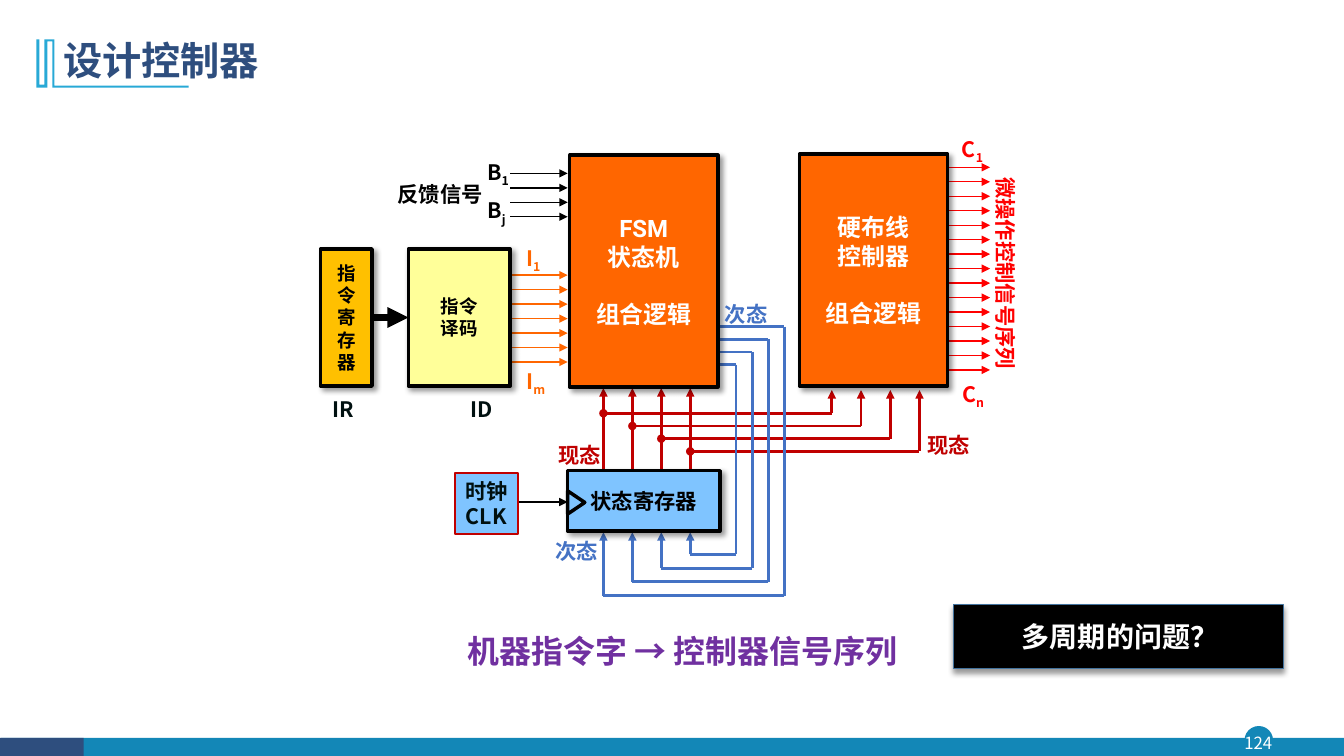
from dataclasses import dataclass

import pptx
import pptx.dml.color
import pptx.enum.shapes
import pptx.enum.text
import pptx.oxml
import pptx.oxml.ns
import pptx.util

SLIDE_WIDTH = pptx.util.Inches(13.33)
SLIDE_HEIGHT = pptx.util.Inches(7.5)
COLUMNS, ROWS = 133.3, 75
SANS, ROBOTO = "Noto Sans CJK SC", "Roboto"
SHAPES = pptx.enum.shapes.MSO_SHAPE
ALIGN = pptx.enum.text.PP_ALIGN
ANCHOR = pptx.enum.text.MSO_ANCHOR
COLORS = {
    "black": "000000", "ink": "001010", "white": "FFFFFF", "red": "FF0000",
    "present": "C00000", "next": "4472C4", "orange": "FF6600", "gold": "FFC000",
    "yellow": "FFFF99", "sky": "7FC4FF", "purple": "7030A0", "navy": "2E4E7E",
    "teal": "1387B7", "cyan": "28A9D6", "steel": "43739E",
}


@dataclass
class Block:
    left: float
    top: float
    width: float
    height: float
    fill: str
    text: str = ""
    size: float = 15.2
    color: str = "black"
    font: str = ROBOTO
    border: str | None = "black"
    weight: float = 2.5
    shadow_angle: int | None = 45
    gap: float = 0
    wrap: bool = True
    kind: SHAPES = SHAPES.RECTANGLE
    rotation: float = 0


@dataclass
class Label:
    left: float
    top: float
    width: float
    text: str
    color: str
    height: float = 3.6
    rotation: float = 0


@dataclass
class ArrowRow:
    left: float
    right: float
    top: float
    count: int
    color: str


FOOTER = [
    Block(123.5, 72.1, 2.7, 2.7, "teal", border="teal", weight=1, shadow_angle=None, kind=SHAPES.OVAL),
    Block(0.1, 73.2, 133.2, 1.9, "teal", border=None, shadow_angle=None),
    Block(0, 73.2, 8.3, 1.9, "navy", border=None, shadow_angle=None),
]
BLOCKS = [
    Block(31.8, 24.7, 5.1, 13.6, "gold", "指令寄存器", 13.2),
    Block(40.5, 24.7, 10.1, 13.6, "yellow", "指令\n译码", 13.2),
    Block(56.5, 15.4, 14.7, 23, "orange", "FSM\n状态机\n组合逻辑", 17.1, "white", gap=20),
    Block(79.3, 15.3, 14.7, 23, "orange", "硬布线\n控制器\n组合逻辑", 17.1, "white", gap=20),
    Block(56.3, 46.7, 15.1, 6, "sky", "状态寄存器"),
    Block(45.1, 46.9, 6.3, 6.1, "sky", "时钟\nCLK", color="ink", font=SANS,
          border="present", weight=1.5, shadow_angle=None, wrap=False),
    Block(56, 49, 2.3, 1.7, "sky", shadow_angle=None,
          kind=SHAPES.ISOSCELES_TRIANGLE, rotation=90),
    Block(94.6, 60, 32.7, 6.3, "black", border="steel", weight=1, shadow_angle=90),
]
LABELS = [
    Label(31.7, 38.8, 4.7, "IR", "ink"),
    Label(45.4, 38.8, 4.7, "ID", "ink"),
    Label(38.4, 17.5, 10.5, "反馈信号", "black"),
    Label(47.2, 15.3, 4.4, "B_1", "black"),
    Label(47.3, 19.1, 3.9, "B_j", "black"),
    Label(51.1, 23.8, 3.6, "I_1", "orange"),
    Label(51.1, 36, 4.1, "I_m", "orange"),
    Label(94.3, 13, 4.3, "C_1", "red"),
    Label(94.3, 37.3, 4.4, "C_n", "red"),
    Label(89.2, 25.3, 21.1, "微操作控制信号序列", "red", rotation=90),
    Label(90.6, 42.4, 7, "现态", "present"),
    Label(54, 43.4, 7, "现态", "present"),
    Label(70.5, 29.4, 7, "次态", "next"),
    Label(53.7, 52.9, 7, "次态", "next"),
]
ARROW_ROWS = [
    ArrowRow(50.5, 56.3, 27.3, 7, "orange"),
    ArrowRow(93.9, 98.2, 16.6, 15, "red"),
    ArrowRow(50.6, 56.3, 17.2, 4, "black"),
]
ARROW_PITCH = 1.436
STATE_BITS = 4
TITLE_MARK = [
    (5.4, 3.9), (5.4, 8.5), (18.7, 8.5), (18.7, 8.7), (5.2, 8.7), (5.2, 4.1), (4.7, 4.1),
    (4.7, 8.7), (3.6, 8.7), (3.6, 3.9), (3.9, 3.9), (3.9, 8.4), (4.4, 8.4), (4.4, 3.9),
]


def across(columns: float) -> int:
    return round(SLIDE_WIDTH * columns / COLUMNS)


def down(rows: float) -> int:
    return round(SLIDE_HEIGHT * rows / ROWS)


def rgb(name: str) -> pptx.dml.color.RGBColor:
    return pptx.dml.color.RGBColor.from_string(COLORS[name])


def write(frame, text: str, *, size: float, color: str, font: str = SANS, bold: bool = True,
          align=ALIGN.CENTER, anchor=ANCHOR.TOP, wrap: bool = True, spacing: float | None = None,
          gap: float = 0, after: float = 0, margin: float | None = None) -> None:
    """Fill a frame; an underscore starts a subscript, gap precedes the last of several lines."""
    frame.word_wrap = wrap
    frame.vertical_anchor = anchor
    if margin is not None:
        frame.margin_left = frame.margin_right = frame.margin_top = frame.margin_bottom = margin
    lines = text.split("\n")
    for number, line in enumerate(lines):
        para = frame.add_paragraph() if number else frame.paragraphs[0]
        para.alignment = align
        if spacing:
            para.line_spacing = spacing
        if after:
            para.space_after = pptx.util.Pt(after)
        if gap and number == len(lines) - 1:
            para.space_before = pptx.util.Pt(gap)
        for part, piece in enumerate(line.split("_")):
            span = para.add_run()
            span.text = piece
            span.font.size, span.font.bold, span.font.name = pptx.util.Pt(size), bold, font
            span.font.color.rgb = rgb(color)
            properties = span._r.get_or_add_rPr()
            east_asian = pptx.oxml.parse_xml(
                f'<a:ea {pptx.oxml.ns.nsdecls("a")} typeface="{font}"/>')
            properties.append(east_asian)
            if part:
                properties.set("baseline", "-25000")


def add_text(slide, left: float, top: float, width: float, height: float, text: str,
             *, rotation: float = 0, **style) -> None:
    box = slide.shapes.add_textbox(across(left), down(top), across(width), down(height))
    box.rotation = rotation
    write(box.text_frame, text, **style)


def cast_shadow(shape, angle: int) -> None:
    effects = shape._element.spPr.find(pptx.oxml.ns.qn("a:effectLst"))
    effects.append(pptx.oxml.parse_xml(
        f'<a:outerShdw {pptx.oxml.ns.nsdecls("a")} blurRad="50800" dist="38100" '
        f'dir="{angle * 60000}" algn="ctr" rotWithShape="0"><a:srgbClr val="000000">'
        '<a:alpha val="40000"/></a:srgbClr></a:outerShdw>'))


def add_block(slide, block: Block) -> None:
    shape = slide.shapes.add_shape(block.kind, across(block.left), down(block.top),
                                   across(block.width), down(block.height))
    shape.rotation = block.rotation
    shape.shadow.inherit = False
    shape.fill.solid()
    shape.fill.fore_color.rgb = rgb(block.fill)
    if block.border:
        shape.line.color.rgb = rgb(block.border)
        shape.line.width = pptx.util.Pt(block.weight)
    else:
        shape.line.fill.background()
    if block.shadow_angle is not None:
        cast_shadow(shape, block.shadow_angle)
    if block.text:
        write(shape.text_frame, block.text, size=block.size, color=block.color, font=block.font,
              anchor=ANCHOR.MIDDLE, wrap=block.wrap, gap=block.gap)


def add_wire(slide, start: tuple[float, float], end: tuple[float, float], color: str,
             weight: float = 2, head: str = "", tail: str = "") -> None:
    wire = slide.shapes.add_connector(pptx.enum.shapes.MSO_CONNECTOR.STRAIGHT, across(start[0]),
                                      down(start[1]), across(end[0]), down(end[1]))
    wire.line.color.rgb = rgb(color)
    wire.line.width = pptx.util.Pt(weight)
    namespace = pptx.oxml.ns.nsdecls("a")
    for tag, ending in (("headEnd", head), ("tailEnd", tail)):
        if ending:
            wire.line._get_or_add_ln().append(
                pptx.oxml.parse_xml(f'<a:{tag} {namespace} type="{ending}"/>'))
    wire._element.spPr.append(pptx.oxml.parse_xml(f"<a:effectLst {namespace}/>"))


def add_state_wires(slide) -> None:
    """Route present state up to both logic blocks and next state back to the register."""
    for bit in range(STATE_BITS):
        register_x, control_x, bus_y = 59.85 + 2.87 * bit, 82.5 + 2.9 * bit, 41 + 1.26 * bit
        add_wire(slide, (register_x, 47.4), (register_x, 38.5), "present", tail="triangle")
        add_wire(slide, (register_x, bus_y), (control_x, bus_y), "present", head="oval")
        add_wire(slide, (control_x, bus_y), (control_x, 38.7), "present", tail="triangle")
    for bit in range(STATE_BITS):
        register_x, outer_x = 59.85 + 2.87 * bit, 77.8 - 1.6 * bit
        top, bottom = 32.4 + 1.26 * bit, 59.1 - 1.37 * bit
        corners = [(71.4, top), (outer_x, top), (outer_x, bottom), (register_x, bottom)]
        for start, end in zip(corners, corners[1:]):
            add_wire(slide, start, end, "next")
        add_wire(slide, corners[-1], (register_x, 52.8), "next", tail="triangle")


def add_title(slide) -> None:
    points = [(across(x), down(y)) for x, y in TITLE_MARK]
    builder = slide.shapes.build_freeform(*points[0])
    builder.add_line_segments(points[1:], close=True)
    mark = builder.convert_to_shape()
    mark.shadow.inherit = False
    mark.fill.solid()
    mark.fill.fore_color.rgb = rgb("cyan")
    mark.line.fill.background()
    add_text(slide, 5.3, 2.8, 115, 6.8, "设计控制器", size=28, color="navy",
             align=ALIGN.LEFT, anchor=ANCHOR.MIDDLE, spacing=0.9)


def main() -> None:
    deck = pptx.Presentation()
    deck.slide_width, deck.slide_height = SLIDE_WIDTH, SLIDE_HEIGHT
    slide = deck.slides.add_slide(deck.slide_layouts[6])
    for block in FOOTER:
        add_block(slide, block)
    add_text(slide, 123.2, 72.1, 3.2, 3.1, "124", size=12, color="white", bold=False,
             anchor=ANCHOR.MIDDLE, margin=0)
    add_title(slide)
    for row in ARROW_ROWS:
        for number in range(row.count):
            y = row.top + ARROW_PITCH * number
            add_wire(slide, (row.left, y), (row.right, y), row.color, 1, tail="triangle")
    add_wire(slide, (36.8, 31.5), (40.5, 31.5), "black", 5, tail="triangle")
    add_wire(slide, (50.3, 49.8), (56.3, 49.8), "black", tail="triangle")
    add_state_wires(slide)
    for block in BLOCKS:
        add_block(slide, block)
    for label in LABELS:
        add_text(slide, label.left, label.top, label.width, label.height, label.text,
                 rotation=label.rotation, size=15.2, color=label.color, wrap=False)
    add_text(slide, 45.4, 60.3, 45.2, 6.8, "机器指令字 → 控制器信号序列", size=22.8,
             color="purple", align=ALIGN.LEFT, wrap=False, spacing=1.5, after=5.7)
    add_text(slide, 95.6, 61, 31, 4.4, "多周期的问题？", size=20, color="white")
    deck.save("out.pptx")


if __name__ == "__main__":
    main()
